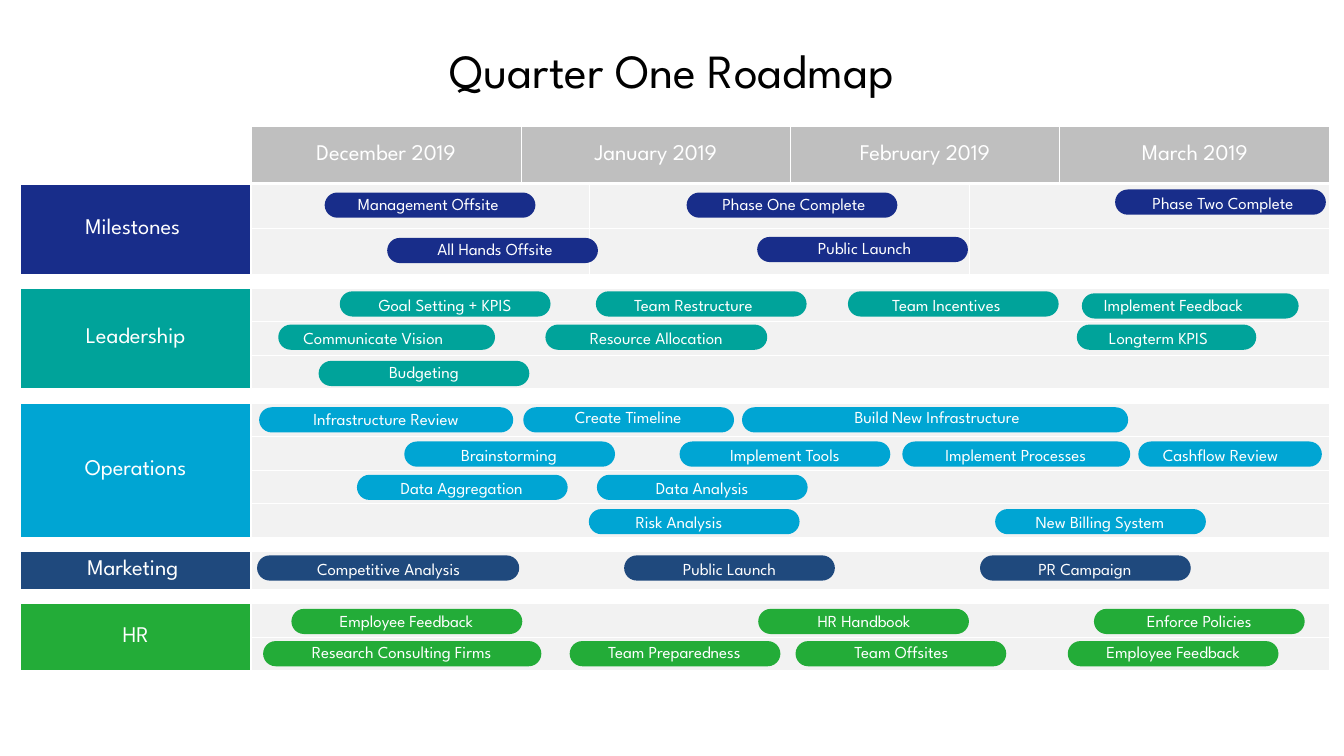
from lxml import etree
from pptx import Presentation
from pptx.dml.color import RGBColor
from pptx.enum import shapes, text
from pptx.oxml import ns
from pptx.util import Inches, Pt

FONT = "League Spartan"
COLORS = {"white": "FFFFFF", "black": "000000", "month": "BFBFBF", "track": "F2F2F2",
          "Milestones": "182D8A", "Leadership": "00A39A", "Operations": "00A5D3",
          "Marketing": "1F497D", "HR": "23AC38"}
CENTER, LEFT = text.PP_ALIGN.CENTER, text.PP_ALIGN.LEFT


def write(tf, words, size, color, align=CENTER):
    p = tf.paragraphs[0]
    p.alignment = align
    r = p.add_run()
    r.text = words
    for name, value in {"name": FONT, "size": Pt(size)}.items():
        setattr(r.font, name, value)
    r.font.color.rgb = RGBColor.from_string(COLORS[color])


def style_cell(cell, color, bottom=1):
    for side in ("top", "bottom"):
        setattr(cell, "margin_" + side, 0)
    cell.vertical_anchor = text.MSO_ANCHOR.MIDDLE
    tc_pr = cell._tc.get_or_add_tcPr()
    for tag, width in {"lnL": 1, "lnR": 1, "lnT": 1, "lnB": bottom}.items():
        line = etree.SubElement(tc_pr, ns.qn("a:" + tag), w=str(Pt(width)))
        line_fill = etree.SubElement(line, ns.qn("a:solidFill"))
        etree.SubElement(line_fill, ns.qn("a:srgbClr"), val=COLORS["white"])
    cell.fill.solid()
    cell.fill.fore_color.rgb = RGBColor.from_string(COLORS[color])
    cell.text_frame.paragraphs[0]._p.get_or_add_endParaRPr().set("sz", "100")


prs = Presentation()
prs.slide_width, prs.slide_height = Inches(13.33), Inches(7.5)
s = prs.slides.add_slide(prs.slide_layouts[5])

title = s.shapes.title
title.left, title.top, title.width, title.height = [Inches(v) for v in (1.88, 0.36, 9.57, 0.67)]
title.text_frame.vertical_anchor = text.MSO_ANCHOR.TOP
title.text_frame.auto_size = text.MSO_AUTO_SIZE.NONE
write(title.text_frame, "Quarter One Roadmap", 34, "black")

teams = [("Milestones ", 2, 0.45), ("Leadership", 3, 1 / 3), ("Operations", 4, 1 / 3),
         ("Marketing ", 1, 0.38), ("HR", 2, 1 / 3)]
months = [("December 2019", 1, 1), ("January 2019", 2, 4), ("February 2019", 5, 6), ("March 2019", 7, 7)]
col_widths = [2.29, 2.68, 0.68, 0.21, 1.78, 1.78, 0.89, 2.68]
row_heights = [0.57]
for team, count, height in teams:
    row_heights += [height] * count + [0.14]
row_heights.pop()

frame = s.shapes.add_table(len(row_heights), len(col_widths), Inches(0.2), Inches(1.25),
                           Inches(sum(col_widths)), Inches(sum(row_heights)))
table = frame.table
table.first_row = table.horz_banding = False
for col, width in zip(table.columns, col_widths):
    col.width = Inches(width)
for row, height in zip(table.rows, row_heights):
    row.height = Inches(height)

for c in range(len(col_widths)):
    style_cell(table.cell(0, c), "month" if c else "white", bottom=3)
for month, first, last in months:
    if last > first:
        table.cell(0, first).merge(table.cell(0, last))
    write(table.cell(0, first).text_frame, month, 16, "white")

top_row = 1
for team, count, height in teams:
    spans = [(1, 2), (3, 5), (6, 7)] if team == "Milestones " else [(1, 7)]
    for r in range(top_row, top_row + count):
        for c in range(len(col_widths)):
            style_cell(table.cell(r, c), "track" if c else team.strip())
        for first, last in spans:
            table.cell(r, first).merge(table.cell(r, last))
    if count > 1:
        table.cell(top_row, 0).merge(table.cell(top_row + count - 1, 0))
    write(table.cell(top_row, 0).text_frame, team, 16, "white")
    top_row += count
    if top_row < len(row_heights):
        for c in range(len(col_widths)):
            style_cell(table.cell(top_row, c), "white")
        for first, last in [(1, 3), (4, 5), (6, 7)]:
            table.cell(top_row, first).merge(table.cell(top_row, last))
    top_row += 1

# team, bar top, label top, then: task, bar left, bar width, label left, label width
tracks = [
    ("Milestones", 1.91, 1.87, [("Management Offsite", 3.22, 2.09, 3.3, 1.9),
                                ("Phase One Complete", 6.81, 2.09, 6.89, 1.97)]),
    ("Milestones", 1.88, 1.86, [("Phase Two Complete", 11.06, 2.09, 11.16, 1.94)]),
    ("Milestones", 2.36, 2.32, [("All Hands Offsite", 3.84, 2.09, 4.15, 1.52)]),
    ("Milestones", 2.35, 2.31, [("Public Launch", 7.51, 2.09, 7.9, 1.35)]),
    ("Leadership", 2.89, 2.87, [("Goal Setting + KPIS", 3.37, 2.09, 3.55, 1.73),
                                ("Team Restructure", 5.91, 2.09, 6.19, 1.61),
                                ("Team Incentives", 8.41, 2.09, 8.75, 1.51)]),
    ("Leadership", 2.91, 2.87, [("Implement Feedback", 10.73, 2.15, 10.85, 1.97)]),
    ("Leadership", 3.22, 3.2, [("Communicate Vision", 2.76, 2.15, 2.91, 2.05),
                               ("Resource Allocation", 5.41, 2.2, 5.59, 1.84),
                               ("Longterm KPIS", 10.68, 1.78, 10.9, 1.34)]),
    ("Leadership", 3.58, 3.54, [("Budgeting", 3.16, 2.09, 3.68, 1.05)]),
    ("Operations", 4.04, 4.01, [("Infrastructure Review", 2.57, 2.52, 2.88, 1.9)]),
    ("Operations", 4.04, 3.99, [("Create Timeline", 5.19, 2.09, 5.49, 1.48),
                                ("Build New Infrastructure", 7.36, 3.83, 8.24, 2.11)]),
    ("Operations", 4.38, 4.36, [("Brainstorming", 4.01, 2.09, 4.4, 1.3),
                                ("Implement Tools", 6.74, 2.09, 7.03, 1.51),
                                ("Implement Processes", 8.95, 2.26, 9.12, 1.91),
                                ("Cashflow Review", 11.29, 1.82, 11.31, 1.59)]),
    ("Operations", 4.71, 4.69, [("Data Aggregation", 3.54, 2.09, 3.73, 1.7),
                                ("Data Analysis", 5.92, 2.09, 6.32, 1.29)]),
    ("Operations", 5.05, 5.03, [("Risk Analysis", 5.84, 2.09, 6.14, 1.19),
                                ("New Billing System", 9.87, 2.09, 10.07, 1.68)]),
    ("Marketing", 5.51, 5.49, [("Competitive Analysis", 2.55, 2.6, 2.91, 1.89),
                               ("Public Launch", 6.19, 2.09, 6.56, 1.35),
                               ("PR Campaign", 9.72, 2.09, 10.09, 1.34)]),
    ("HR", 6.04, 6.01, [("Employee Feedback", 2.89, 2.29, 3.08, 1.9),
                        ("HR Handbook", 7.52, 2.09, 7.9, 1.34),
                        ("Enforce Policies", 10.85, 2.09, 11.16, 1.47)]),
    ("HR", 6.36, 6.32, [("Research Consulting Firms", 2.61, 2.76, 2.83, 2.31),
                        ("Team Preparedness", 5.65, 2.09, 5.79, 1.8),
                        ("Team Offsites", 7.89, 2.09, 8.3, 1.28),
                        ("Employee Feedback", 10.59, 2.09, 10.68, 1.91)]),
]
left_aligned = {"Team Restructure", "Team Incentives", "Implement Feedback",
                "Longterm KPIS", "Communicate Vision"}
label_format = {"word_wrap": False, "vertical_anchor": text.MSO_ANCHOR.MIDDLE,
                "auto_size": text.MSO_AUTO_SIZE.SHAPE_TO_FIT_TEXT}

for team, bar_top, label_top, tasks in tracks:
    for task, bar_left, bar_width, label_left, label_width in tasks:
        bar = s.shapes.add_shape(shapes.MSO_SHAPE.ROUNDED_RECTANGLE, Inches(bar_left), Inches(bar_top),
                                 Inches(bar_width), Inches(0.25))
        bar.adjustments[0] = 0.5
        bar.shadow.inherit = False
        bar.fill.solid()
        bar.fill.fore_color.rgb = RGBColor.from_string(COLORS[team])
        bar.line.fill.background()
        label = s.shapes.add_textbox(Inches(label_left), Inches(label_top), Inches(label_width), Inches(0.3))
        for name, value in label_format.items():
            setattr(label.text_frame, name, value)
        write(label.text_frame, task, 12, "white", LEFT if task in left_aligned else CENTER)

prs.save("out.pptx")
